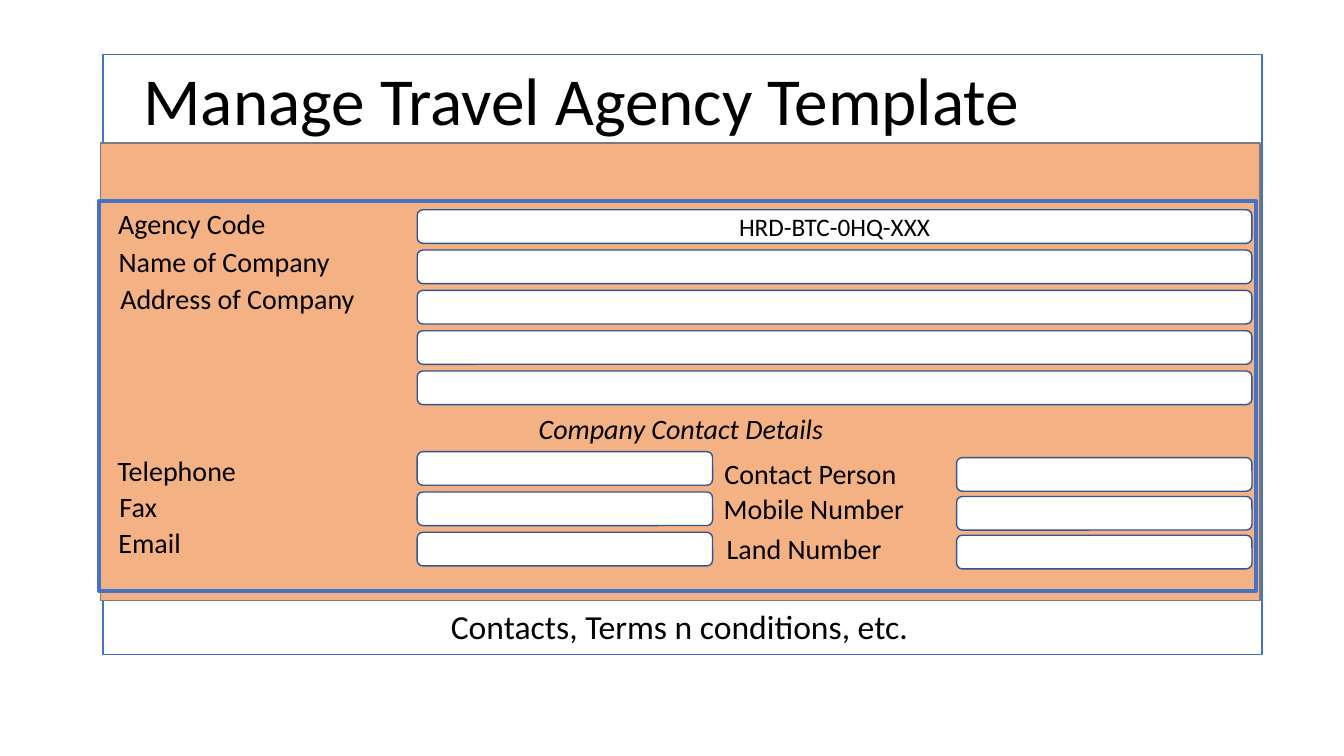
import pptx
import pptx.util
import pptx.dml.color
import pptx.enum.shapes
import pptx.enum.text

Pt = pptx.util.Pt
Shape = pptx.enum.shapes.MSO_SHAPE
Align = pptx.enum.text.PP_ALIGN
Anchor = pptx.enum.text.MSO_ANCHOR

COLORS = {
    "white": "FFFFFF",
    "black": "000000",
    "orange": "F4B183",
    "blue": "4472C4",
    "dark_blue": "325491",
    "gray": "7A7A7A",
}


class FormSlide:
    """Holds the form's style and the slide being filled."""

    font_name = "Calibri"
    label_size = 20

    def __init__(self, presentation):
        self.slide = presentation.slides.add_slide(presentation.slide_layouts[5])

    def color(self, name):
        return pptx.dml.color.RGBColor.from_string(COLORS[name])

    def set_text(self, shape, text, size, align=Align.CENTER, anchor=Anchor.TOP,
                 wrap=True, italic=False):
        frame = shape.text_frame
        frame_format = {
            "word_wrap": wrap,
            "vertical_anchor": anchor,
            "auto_size": pptx.enum.text.MSO_AUTO_SIZE.NONE,
        }
        for name, value in frame_format.items():
            setattr(frame, name, value)
        paragraph = frame.paragraphs[0]
        paragraph.alignment = align
        run = paragraph.add_run()
        run.text = text
        font_format = {"name": self.font_name, "size": Pt(size), "italic": italic}
        for name, value in font_format.items():
            setattr(run.font, name, value)
        run.font.color.rgb = self.color("black")

    def title(self, text, left, top, width, height):
        """Fill the title placeholder and bring it in front of the panels."""
        shape = self.slide.shapes.title
        bounds = {"left": left, "top": top, "width": width, "height": height}
        for name, value in bounds.items():
            setattr(shape, name, Pt(value))
        self.set_text(shape, text, 48)
        shape.element.getparent().append(shape.element)

    def box(self, left, top, width, height, fill, line, weight=1,
            kind=Shape.RECTANGLE):
        shape = self.slide.shapes.add_shape(
            kind, Pt(left), Pt(top), Pt(width), Pt(height))
        shape.shadow.inherit = False
        if fill:
            shape.fill.solid()
            shape.fill.fore_color.rgb = self.color(fill)
        else:
            shape.fill.background()
        shape.line.color.rgb = self.color(line)
        shape.line.width = Pt(weight)
        return shape

    def field(self, left, top, width):
        return self.box(left, top, width, 24, "white", "dark_blue",
                        kind=Shape.ROUNDED_RECTANGLE)

    def text(self, text, left, top, width, height=31.5, size=label_size, **style):
        shape = self.slide.shapes.add_textbox(
            Pt(left), Pt(top), Pt(width), Pt(height))
        self.set_text(shape, text, size, **style)


def main():
    presentation = pptx.Presentation()
    presentation.slide_width = Pt(960)
    presentation.slide_height = Pt(540)
    form = FormSlide(presentation)

    form.box(73.5, 39, 828, 428.4, "white", "blue")
    form.box(72, 102.2, 828, 327, "orange", "gray")
    form.text("Contacts, Terms n conditions, etc.", 70.5, 429.1, 829.5, 36, size=24)
    form.title("Manage Travel Agency Template", 73.5, 38.2, 684, 65.5)

    labels = [
        ("Agency Code", 77, 144, 120),
        ("Name of Company", 77, 171.2, 166.3),
        ("Address of Company", 77.8, 197.5, 183.6),
        ("Telephone", 76.3, 320.4, 100),
        ("Fax", 77.8, 346.3, 41.8),
        ("Email", 77, 371.7, 59.8),
        ("Contact Person", 509, 322.6, 139.7),
        ("Mobile Number", 509, 347.8, 144.7),
    ]
    for text, left, top, width in labels:
        form.text(text, left, top, width, wrap=False)
    form.text("Land Number", 512, 375.8, 131.8, align=Align.LEFT)
    form.text("Company Contact Details", 77.8, 290.2, 817.2, italic=True)
    form.box(70.6, 143.5, 826.6, 278.6, None, "blue", weight=3)

    field_left, right_field_left = 298, 683.3
    wide, narrow = 596.2, 211
    row_step = 28.8
    company_fields = [
        form.field(field_left, 149.8 + row * row_step, wide) for row in range(5)]
    form.set_text(company_fields[0], "HRD-BTC-0HQ-XXX", 18, anchor=Anchor.MIDDLE)
    for row in range(3):
        form.field(field_left, 322.6 + row * row_step, narrow)
        form.field(right_field_left, 326.9 + row * 27.7, narrow)

    presentation.save("out.pptx")


if __name__ == "__main__":
    main()
